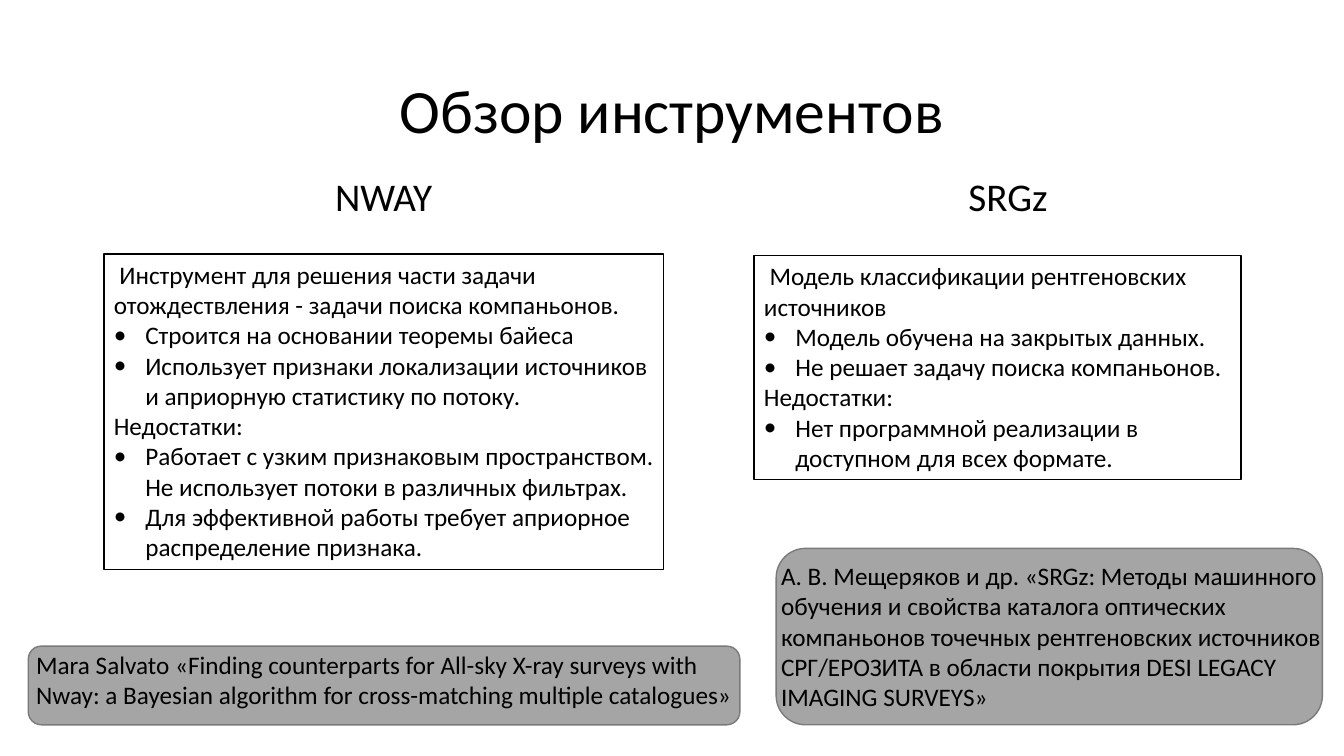
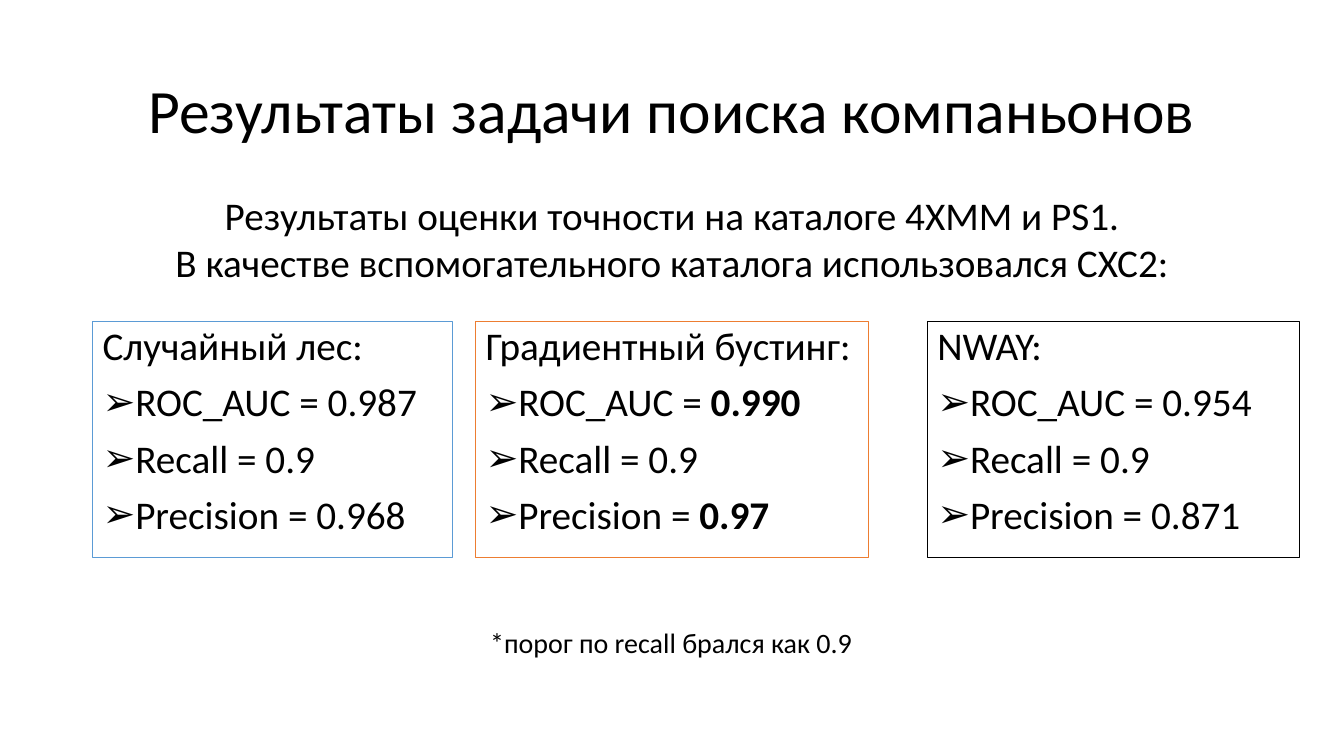
from lxml import etree
from pptx import Presentation
from pptx.dml.color import RGBColor
from pptx.enum.shapes import MSO_SHAPE
from pptx.enum.text import MSO_ANCHOR, PP_ALIGN
from pptx.oxml.ns import qn
from pptx.util import Pt

COLORS = {
    "text": "000000",
    "paper": "FFFFFF",
    "citation": "A5A5A5",
    "citation_edge": "7A7A7A",
    "forest": "5B9BD5",
    "boosting": "ED7D31",
    "nway": "000000",
}
FONT = "Calibri"
TITLE_BOX = (66, 28.8, 828, 104.4)
METRICS_TOP, METRICS_HEIGHT = 229.7, 168.5


def color(name):
    return RGBColor.from_string(COLORS[name])


def points(box):
    return [Pt(length) for length in box]


def style_paragraph(paragraph, size, align=PP_ALIGN.LEFT, spacing=1.0):
    paragraph.alignment = align
    paragraph.line_spacing = spacing
    paragraph.font.name = FONT
    paragraph.font.size = Pt(size)
    paragraph.font.color.rgb = color("text")


def set_indent(paragraph, left, first):
    properties = paragraph._p.get_or_add_pPr()
    properties.set("marL", str(Pt(left)))
    properties.set("indent", str(Pt(first)))
    return properties


def add_bullet(paragraph, mark, hang):
    properties = set_indent(paragraph, hang, -hang)
    etree.SubElement(properties, qn("a:buFont")).set("typeface", FONT)
    etree.SubElement(properties, qn("a:buChar")).set("char", mark)


def add_text(slide, box, lines, size, align=PP_ALIGN.LEFT, spacing=1.0):
    frame = slide.shapes.add_textbox(*points(box)).text_frame
    frame.word_wrap = True
    for index, line in enumerate(lines):
        paragraph = frame.paragraphs[0] if index == 0 else frame.add_paragraph()
        paragraph.text = line
        style_paragraph(paragraph, size, align, spacing)


def add_panel(slide, box, fill, edge, preset=MSO_SHAPE.RECTANGLE):
    panel = slide.shapes.add_shape(preset, *points(box))
    panel.shadow.inherit = False
    panel.fill.solid()
    panel.fill.fore_color.rgb = color(fill)
    panel.line.color.rgb = color(edge)
    panel.line.width = Pt(1)
    panel.text_frame.word_wrap = True
    panel.text_frame.margin_right = Pt(5)
    panel.text_frame.vertical_anchor = MSO_ANCHOR.TOP
    return panel.text_frame


def add_titled_slide(deck, heading):
    slide = deck.slides.add_slide(deck.slide_layouts[5])
    title = slide.shapes.title
    title.left, title.top, title.width, title.height = points(TITLE_BOX)
    title.text_frame.text = heading
    title.text_frame.vertical_anchor = MSO_ANCHOR.MIDDLE
    style_paragraph(title.text_frame.paragraphs[0], 44, PP_ALIGN.CENTER, 0.9)
    return slide


def add_tool(slide, name, name_box, summary_box, summary, features, drawbacks):
    add_text(slide, name_box, [name], 28, PP_ALIGN.CENTER, 0.9)
    frame = add_panel(slide, summary_box, "paper", "text")
    entries = [(summary, False)]
    entries += [(feature, True) for feature in features]
    entries += [("Недостатки:", False)]
    entries += [(drawback, True) for drawback in drawbacks]
    for index, (entry, bulleted) in enumerate(entries):
        paragraph = frame.paragraphs[0] if index == 0 else frame.add_paragraph()
        paragraph.text = entry
        if bulleted:
            add_bullet(paragraph, "•", 22.5)
        elif index == 0:
            set_indent(paragraph, 0, 4)
        style_paragraph(paragraph, 18)


def add_citation(slide, box, text_box, citation):
    add_panel(slide, box, "citation", "citation_edge", MSO_SHAPE.ROUNDED_RECTANGLE)
    add_text(slide, text_box, [citation], 18)


def add_metrics(slide, left, width, edge, model, scores, best=()):
    box = (left, METRICS_TOP, width, METRICS_HEIGHT)
    frame = add_panel(slide, box, "paper", edge)
    heading = frame.paragraphs[0]
    heading.text = f"{model}:"
    style_paragraph(heading, 28, spacing=0.9)
    for metric, score in zip(("ROC_AUC", "Recall", "Precision"), scores):
        paragraph = frame.add_paragraph()
        paragraph.space_before = Pt(10)
        add_bullet(paragraph, "➢", 18)
        style_paragraph(paragraph, 28, spacing=0.9)
        paragraph.add_run().text = f"{metric} = "
        value = paragraph.add_run()
        value.text = score
        if metric in best:
            value.font.bold = True


def build_tools_slide(deck):
    slide = add_titled_slide(deck, "Обзор инструментов")
    add_tool(
        slide, "NWAY", (74.2, 123.1, 399.6, 44.6), (74.2, 181.6, 399.6, 225.4),
        "Инструмент для решения части задачи отождествления - задачи поиска компаньонов.",
        ["Строится на основании теоремы байеса",
         "Использует признаки локализации источников и априорную статистику по потоку."],
        ["Работает с узким признаковым пространством. Не использует потоки в различных фильтрах.",
         "Для эффективной работы требует априорное распределение признака."],
    )
    add_tool(
        slide, "SRGz", (554.4, 123.1, 331.2, 43.9), (538.6, 182.6, 347.8, 159.8),
        "Модель классификации рентгеновских источников",
        ["Модель обучена на закрытых данных.",
         "Не решает задачу поиска компаньонов."],
        ["Нет программной реализации в доступном для всех формате."],
    )
    add_citation(
        slide, (20.2, 461.5, 508.3, 56.2), (18.7, 460.1, 519.8, 51.1),
        "Mara Salvato «Finding counterparts for All-sky X-ray surveys with Nway: "
        "a Bayesian algorithm for cross-matching multiple catalogues»",
    )
    add_citation(
        slide, (554.4, 391.7, 390.2, 126), (550.8, 396.7, 409, 115.9),
        "А. В. Мещеряков и др. «SRGz: Методы машинного обучения и свойства каталога "
        "оптических компаньонов точечных рентгеновских источников СРГ/ЕРОЗИТА "
        "в области покрытия DESI LEGACY IMAGING SURVEYS»",
    )


def build_results_slide(deck):
    slide = add_titled_slide(deck, "Результаты задачи поиска компаньонов")
    add_text(
        slide, (100.8, 133.2, 758.2, 75),
        ["Результаты оценки точности на каталоге 4XMM и PS1.",
         "В качестве вспомогательного каталога использовался CXC2:"],
        28, PP_ALIGN.CENTER,
    )
    add_metrics(slide, 66.2, 257, "forest", "Случайный лес", ("0.987", "0.9", "0.968"))
    add_metrics(slide, 339.8, 280.8, "boosting", "Градиентный бустинг",
                ("0.990", "0.9", "0.97"), best=("ROC_AUC", "Precision"))
    add_metrics(slide, 662.4, 265.7, "nway", "NWAY", ("0.954", "0.9", "0.871"))
    add_text(slide, (15.8, 443.5, 927.4, 31.7), ["*порог по recall брался как 0.9"],
             20, PP_ALIGN.CENTER)


def main():
    deck = Presentation()
    deck.slide_width, deck.slide_height = Pt(960), Pt(540)
    build_tools_slide(deck)
    build_results_slide(deck)
    deck.save("out.pptx")


if __name__ == "__main__":
    main()
